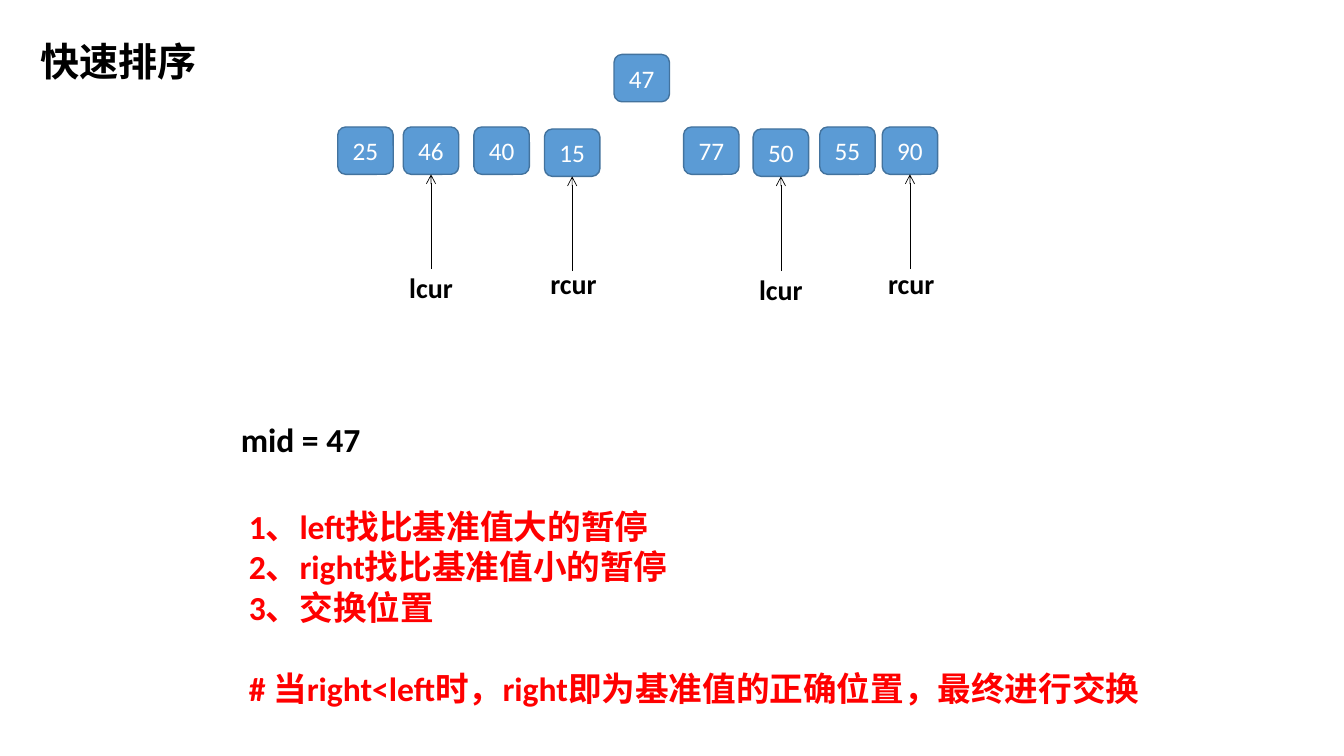
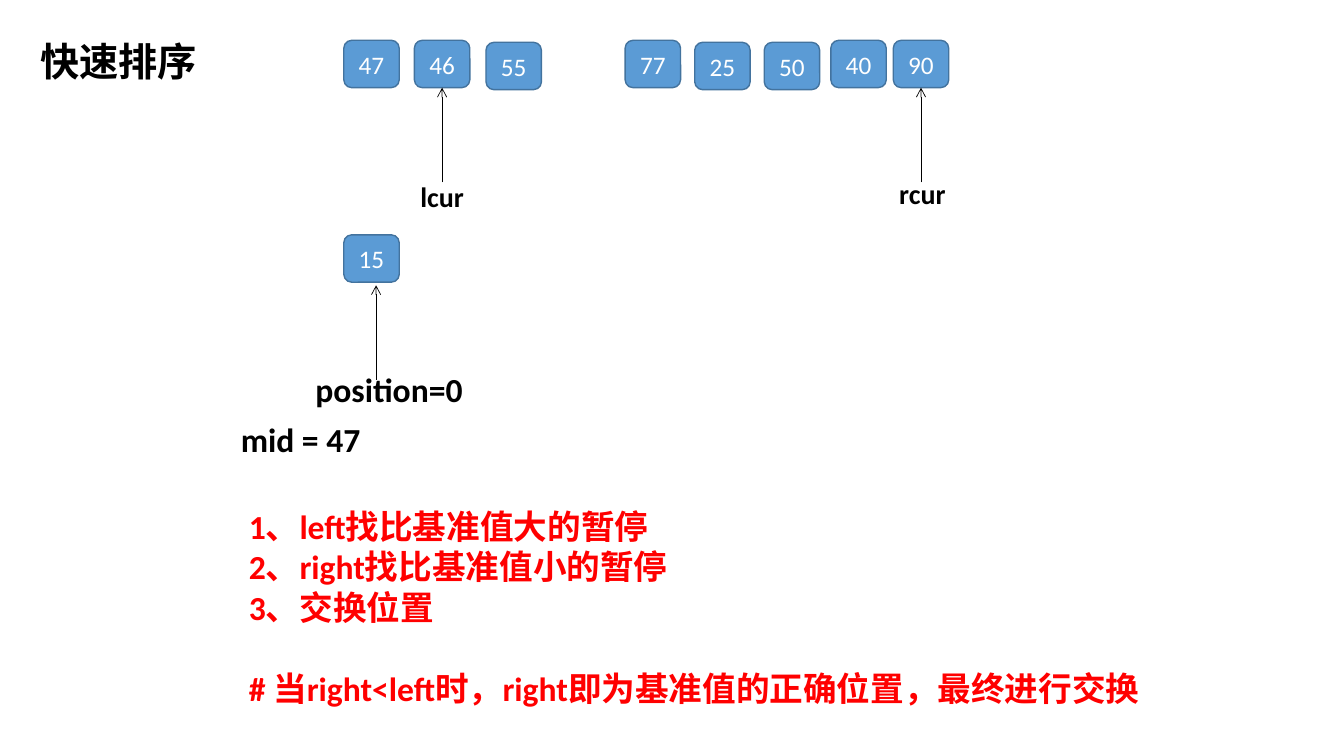
from lxml import etree
from pptx import Presentation
from pptx import util as u
from pptx.dml.color import RGBColor
from pptx.enum import shapes, text
from pptx.oxml import ns

COLORS = {"ink": "000000", "tile": "5B9BD5", "edge": "43739E", "white": "FFFFFF", "rule": "FF0000"}
FONT = "Calibri"
TILE_WIDTH, TILE_HEIGHT = 0.55, 0.47
ARROW_LENGTH = 0.94
TITLE = "快速排序"
RULES = [
    "1、left找比基准值大的暂停",
    "2、right找比基准值小的暂停",
    "3、交换位置",
    "# 当right<left时，right即为基准值的正确位置，最终进行交换",
]

PARTITIONED = {
    "origin": (3.35, 1.26),
    "tiles": {
        "25": (0, 0), "46": (0.65, 0), "40": (1.35, 0), "15": (2.05, 0.02),
        "47": (2.74, -0.72),
        "77": (3.43, 0), "50": (4.12, 0.02), "55": (4.78, 0), "90": (5.4, 0),
    },
    "pointers": [("46", "lcur", 1.37), ("15", "rcur", 1.31), ("50", "lcur", 1.37), ("90", "rcur", 1.33)],
}
SCANNING = {
    "origin": (3.41, 0.4),
    "tiles": {
        "47": (0, 0), "46": (0.7, 0), "55": (1.41, 0.02),
        "77": (2.79, 0), "25": (3.48, 0.02), "50": (4.17, 0.02), "40": (4.83, 0), "90": (5.45, 0),
        "15": (0, 1.93),
    },
    "pointers": [("46", "lcur", 1.33), ("90", "rcur", 1.3)],
}


def color(name):
    return RGBColor.from_string(COLORS[name])


def add_span(para, words, size, ink="ink", bold=True):
    span = para.add_run()
    span.text = words
    span.font.name = FONT
    span.font.size = u.Pt(size)
    span.font.bold = bold
    span.font.color.rgb = color(ink)


def add_text(page, left, top, width, height, lines, size, ink="ink"):
    box = page.shapes.add_textbox(*map(u.Inches, (left, top, width, height)))
    frame = box.text_frame
    frame.word_wrap = True
    for index, line in enumerate(lines):
        para = frame.add_paragraph() if index else frame.paragraphs[0]
        add_span(para, line, size, ink)
    return box


def add_title(page):
    title = page.shapes.title
    title.left, title.top, title.width, title.height = map(u.Inches, (0.3, 0.32, 1.77, 0.57))
    frame = title.text_frame
    frame.word_wrap = False
    frame.auto_size = text.MSO_AUTO_SIZE.NONE
    frame.vertical_anchor = text.MSO_ANCHOR.TOP
    para = frame.paragraphs[0]
    para.alignment = text.PP_ALIGN.LEFT
    add_span(para, TITLE, 28)


def add_tile(page, left, top, value):
    tile = page.shapes.add_shape(
        shapes.MSO_SHAPE.ROUNDED_RECTANGLE, *map(u.Inches, (left, top, TILE_WIDTH, TILE_HEIGHT)))
    tile.shadow.inherit = False
    tile.fill.solid()
    tile.fill.fore_color.rgb = color("tile")
    tile.line.color.rgb = color("edge")
    tile.line.width = u.Pt(1)
    tile.text_frame.vertical_anchor = text.MSO_ANCHOR.MIDDLE
    para = tile.text_frame.paragraphs[0]
    para.alignment = text.PP_ALIGN.CENTER
    add_span(para, value, 18, "white", bold=False)
    return tile


def add_arrow(page, x, tip):
    arrow = page.shapes.add_connector(
        shapes.MSO_CONNECTOR.STRAIGHT, x, tip + u.Inches(ARROW_LENGTH), x, tip)
    arrow.line.color.rgb = color("ink")
    arrow.line.width = u.Pt(0.5)
    line = arrow.line._get_or_add_ln()
    etree.SubElement(line, ns.qn("a:tailEnd"), type="arrow")
    etree.SubElement(arrow._element.spPr, ns.qn("a:effectLst"))
    return arrow


def add_pointer(page, tile, label, drop):
    arrow = add_arrow(page, tile.left + tile.width // 2, tile.top + tile.height)
    arrow.end_connect(tile, 2)
    add_text(page, tile.left.inches - 0.04, tile.top.inches + drop, 0.75, 0.44, [label], 20)


def add_array(page, origin, tiles, pointers):
    left, top = origin
    placed = {value: add_tile(page, left + dx, top + dy, value) for value, (dx, dy) in tiles.items()}
    for value, label, drop in pointers:
        add_pointer(page, placed[value], label, drop)


def add_position(page, left, top):
    add_arrow(page, u.Inches(left + 0.7), u.Inches(top - 0.78))
    add_text(page, left, top, 2.46, 0.5, ["position=0"], 24)


def add_rules(page, left, top):
    add_text(page, left, top, 1.4, 0.5, ["mid = 47"], 24)
    rules = add_text(page, left + 0.08, top + 0.86, 9.17, 2.12, RULES, 24, "rule")
    rules.text_frame.paragraphs[-1].space_before = u.Pt(29)


def add_page(deck, array):
    page = deck.slides.add_slide(deck.slide_layouts[5])
    add_title(page)
    add_array(page, **array)
    add_rules(page, 2.29, 4.11)
    return page


def main():
    deck = Presentation()
    deck.slide_width, deck.slide_height = u.Inches(13.33), u.Inches(7.5)
    add_page(deck, PARTITIONED)
    scanning = add_page(deck, SCANNING)
    add_position(scanning, 3.03, 3.61)
    deck.save("out.pptx")


if __name__ == "__main__":
    main()
